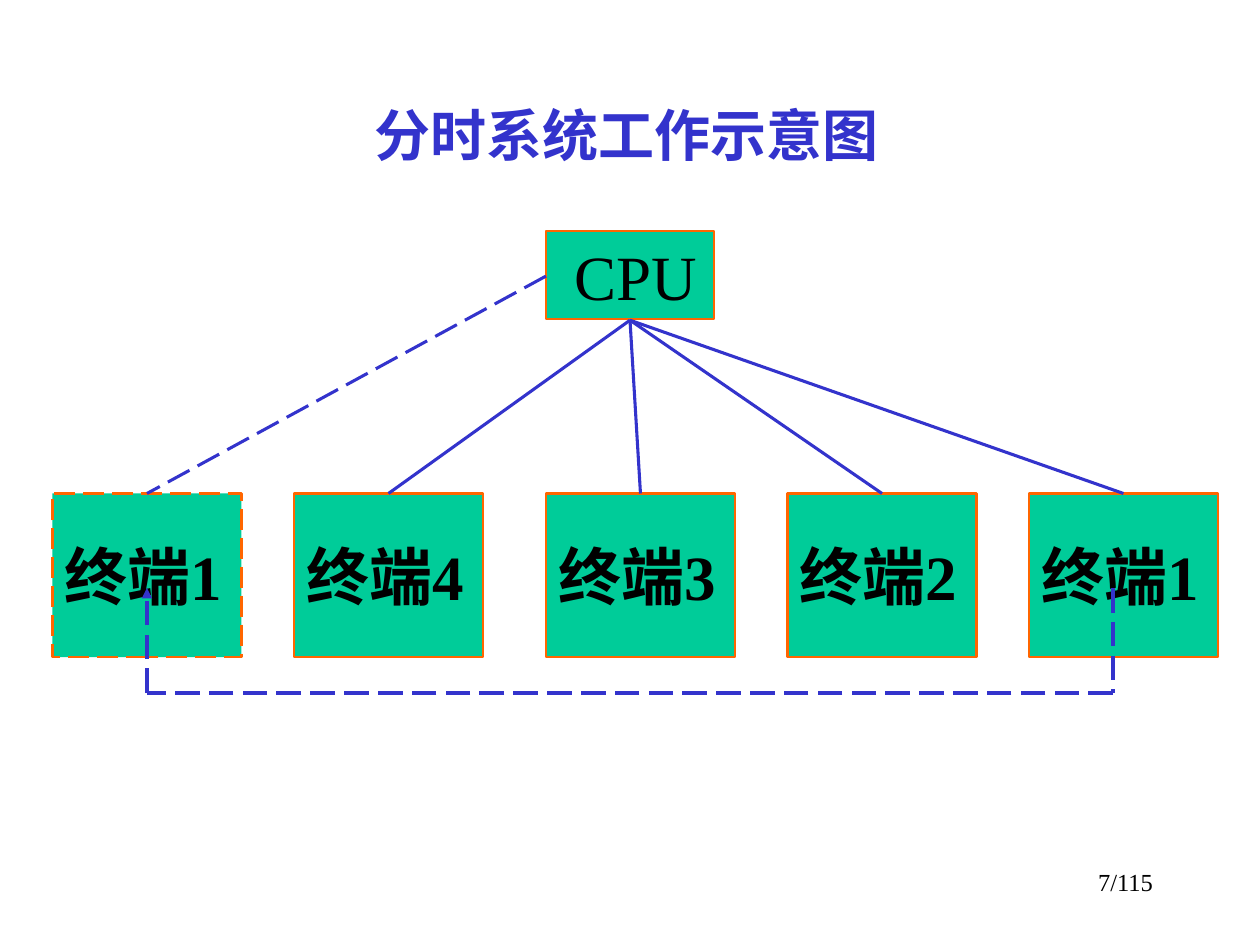
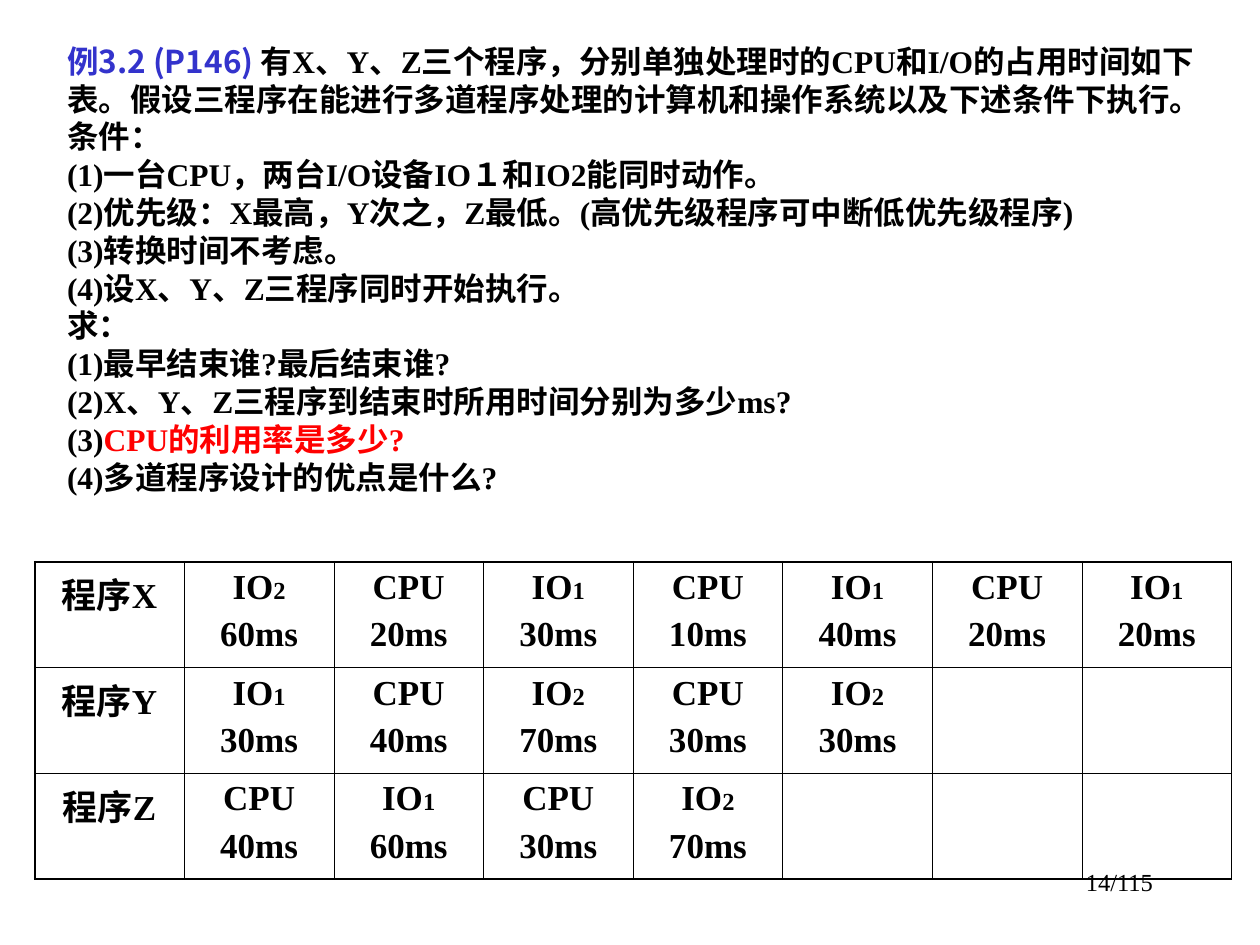
from dataclasses import dataclass

from lxml.etree import SubElement
from pptx import Presentation
from pptx.dml.color import RGBColor
from pptx.enum.dml import MSO_LINE
from pptx.enum.shapes import MSO_CONNECTOR, MSO_SHAPE
from pptx.enum.text import PP_ALIGN
from pptx.oxml.ns import qn
from pptx.util import Inches, Pt


@dataclass(frozen=True)
class Theme:
    """Colours, fonts and type sizes shared by the slides."""
    ink: str = "000000"
    accent: str = "3333CC"
    alert: str = "FF0000"
    box_fill: str = "00CC99"
    box_line: str = "FF6600"
    latin: str = "Times New Roman"
    chinese: str = "Noto Sans CJK SC"
    title: int = 32
    label: int = 36
    body: int = 18
    cell: int = 20
    small: int = 14
    leading: float = 1.2
    thin: float = 0.45
    thick: float = 1.08


THEME = Theme()
COLUMNS, ROWS = 120, 90
WIDTH, HEIGHT = Inches(10), Inches(7.5)
TERMINAL_WIDTH, TERMINAL_HEIGHT, TERMINAL_TOP = 18, 15.6, 47

TERMINALS = [(5, "终端1"), (28, "终端4"), (52, "终端3"), (75, "终端2"), (98, "终端1")]

EXAMPLE = [
    [("例3.2 (P146) ", {"color": THEME.accent, "font": THEME.chinese}),
     ("有X、Y、Z三个程序，分别单独处理时的CPU和I/O的占用时间如下表。"
      "假设三程序在能进行多道程序处理的计算机和操作系统以及下述条件下执行。", {})],
    [("条件：", {})],
    [("(1)一台CPU，两台I/O设备IO１和IO2能同时动作。", {})],
    [("(2)优先级：X最高，Y次之，Z最低。(高优先级程序可中断低优先级程序)", {})],
    [("(3)转换时间不考虑。", {})],
    [("(4)设X、Y、Z三程序同时开始执行。", {})],
    [("求：", {})],
    [("(1)最早结束谁?最后结束谁?", {})],
    [("(2)X、Y、Z三程序到结束时所用时间分别为多少ms?", {})],
    [("(3)", {}), ("CPU的利用率是多少?", {"color": THEME.alert})],
    [("(4)多道程序设计的优点是什么?", {})],
]

SCHEDULE = {
    "程序X": [("IO2", 60), ("CPU", 20), ("IO1", 30), ("CPU", 10),
            ("IO1", 40), ("CPU", 20), ("IO1", 20)],
    "程序Y": [("IO1", 30), ("CPU", 40), ("IO2", 70), ("CPU", 30), ("IO2", 30)],
    "程序Z": [("CPU", 40), ("IO1", 60), ("CPU", 30), ("IO2", 70)],
}


def across(columns):
    """Turn grid columns into a length."""
    return round(WIDTH * columns / COLUMNS)


def down(rows):
    """Turn grid rows into a length."""
    return round(HEIGHT * rows / ROWS)


def place(left, top, width, height):
    """Turn a grid rectangle into lengths."""
    return across(left), down(top), across(width), down(height)


def add_span(para, text, size=THEME.body, color=THEME.ink, bold=True, font=THEME.latin):
    """Append formatted text to a paragraph."""
    span = para.add_run()
    span.text = text
    span.font.size = Pt(size)
    span.font.bold = bold
    span.font.name = font
    span.font.color.rgb = RGBColor.from_string(color)
    SubElement(span.font._element, qn("a:ea"), typeface=THEME.chinese)


def write(frame, paragraphs, align=PP_ALIGN.LEFT, leading=None, before=0, **style):
    """Fill a text frame with paragraphs made of (text, format) spans."""
    frame.word_wrap = True
    for index, spans in enumerate(paragraphs):
        para = frame.add_paragraph() if index else frame.paragraphs[0]
        para.alignment = align
        para.space_before = Pt(before)
        if leading:
            para.line_spacing = Pt(leading)
        for text, extra in spans:
            add_span(para, text, **{**style, **extra})


def add_text(page, area, paragraphs, **style):
    """Add a text box on the grid."""
    box = page.shapes.add_textbox(*place(*area))
    write(box.text_frame, paragraphs, **style)


def add_box(page, area, text, bold=True, dashed=False):
    """Add a labelled rectangle."""
    box = page.shapes.add_shape(MSO_SHAPE.RECTANGLE, *place(*area))
    box.shadow.inherit = False
    box.fill.solid()
    box.fill.fore_color.rgb = RGBColor.from_string(THEME.box_fill)
    box.line.color.rgb = RGBColor.from_string(THEME.box_line)
    box.line.width = Pt(1.5)
    if dashed:
        box.line.dash_style = MSO_LINE.LONG_DASH
    write(box.text_frame, [[(text, {})]], size=THEME.label, bold=bold,
          leading=THEME.label * THEME.leading)


def add_line(page, start, end, dashed=False, arrow=False):
    """Connect two grid points."""
    line = page.shapes.add_connector(
        MSO_CONNECTOR.STRAIGHT, across(start[0]), down(start[1]), across(end[0]), down(end[1]))
    line.line.color.rgb = RGBColor.from_string(THEME.accent)
    line.line.width = Pt(1.75)
    if dashed:
        line.line.dash_style = MSO_LINE.LONG_DASH
    if arrow:
        SubElement(line.line._get_or_add_ln(), qn("a:tailEnd"), type="triangle")
    SubElement(line._element.spPr, qn("a:effectLst"))


def add_page_number(page, number):
    """Add the page number at the lower right."""
    add_text(page, (86, 82, 25, 6), [[(f"{number}/115", {})]],
             align=PP_ALIGN.RIGHT, size=THEME.small, bold=False)


def set_borders(cell, thick_sides):
    """Draw the four borders of a cell, some of them thick."""
    properties = cell._tc.get_or_add_tcPr()
    for position, side in enumerate("LRTB"):
        weight = THEME.thick if side in thick_sides else THEME.thin
        border = SubElement(properties, qn(f"a:ln{side}"), w=str(Pt(weight)))
        fill = SubElement(border, qn("a:solidFill"))
        SubElement(fill, qn("a:srgbClr"), val=THEME.ink)
        properties.remove(border)
        properties.insert(position, border)


def task_paragraphs(device, duration):
    """Split a task into its device line, with a small index, and its time line."""
    name, index = device.rstrip("12"), device.lstrip("CPUIO")
    heading = [(name, {})]
    if index:
        heading.append((index, {"size": THEME.small}))
    return [heading, [(f"{duration}ms", {})]]


def add_schedule(page, area, schedule):
    """Add the table of programs and their tasks."""
    count = 1 + max(map(len, schedule.values()))
    table = page.shapes.add_table(len(schedule), count, *place(*area)).table
    table.first_row = table.horz_banding = False
    last_row, last_column = len(schedule) - 1, count - 1
    for row, (program, tasks) in enumerate(schedule.items()):
        contents = [[[(program, {})]]] + [task_paragraphs(*task) for task in tasks]
        for column in range(count):
            cell = table.cell(row, column)
            cell.fill.background()
            edges = {"L": column == 0, "R": column == last_column,
                     "T": row == 0, "B": row == last_row}
            set_borders(cell, [side for side, outer in edges.items() if outer])
            if column < len(contents):
                write(cell.text_frame, contents[column], align=PP_ALIGN.CENTER,
                      size=THEME.cell, before=5)


def build_time_sharing(page):
    """Show one CPU serving its terminals in turn."""
    add_page_number(page, 7)
    add_text(page, (34.5, 9, 51, 7.7), [[("分时系统工作示意图", {})]], size=THEME.title,
             color=THEME.accent, leading=THEME.title * THEME.leading)
    add_box(page, (52, 22, 16, 8.4), " CPU", bold=False)
    for index, (left, name) in enumerate(TERMINALS):
        first = index == 0
        add_box(page, (left, TERMINAL_TOP, TERMINAL_WIDTH, TERMINAL_HEIGHT), name, dashed=first)
        start = (52, 26.3) if first else (60, 30.5)
        add_line(page, start, (left + TERMINAL_WIDTH / 2, TERMINAL_TOP), dashed=first)
    loop = [(106, 56), (106, 66), (14, 66), (14, 56)]
    for start, end in zip(loop, loop[1:]):
        add_line(page, start, end, dashed=True, arrow=end == loop[-1])


def build_example(page):
    """Show the scheduling exercise and its table."""
    add_page_number(page, 14)
    add_schedule(page, (3.3, 53.5, 114, 30.2), SCHEDULE)
    add_text(page, (5.2, 3.4, 111.5, 48), EXAMPLE, leading=THEME.body * THEME.leading)


def main():
    """Build and save the deck."""
    deck = Presentation()
    deck.slide_width, deck.slide_height = WIDTH, HEIGHT
    for build in (build_time_sharing, build_example):
        build(deck.slides.add_slide(deck.slide_layouts[6]))
    deck.save("out.pptx")


if __name__ == "__main__":
    main()
